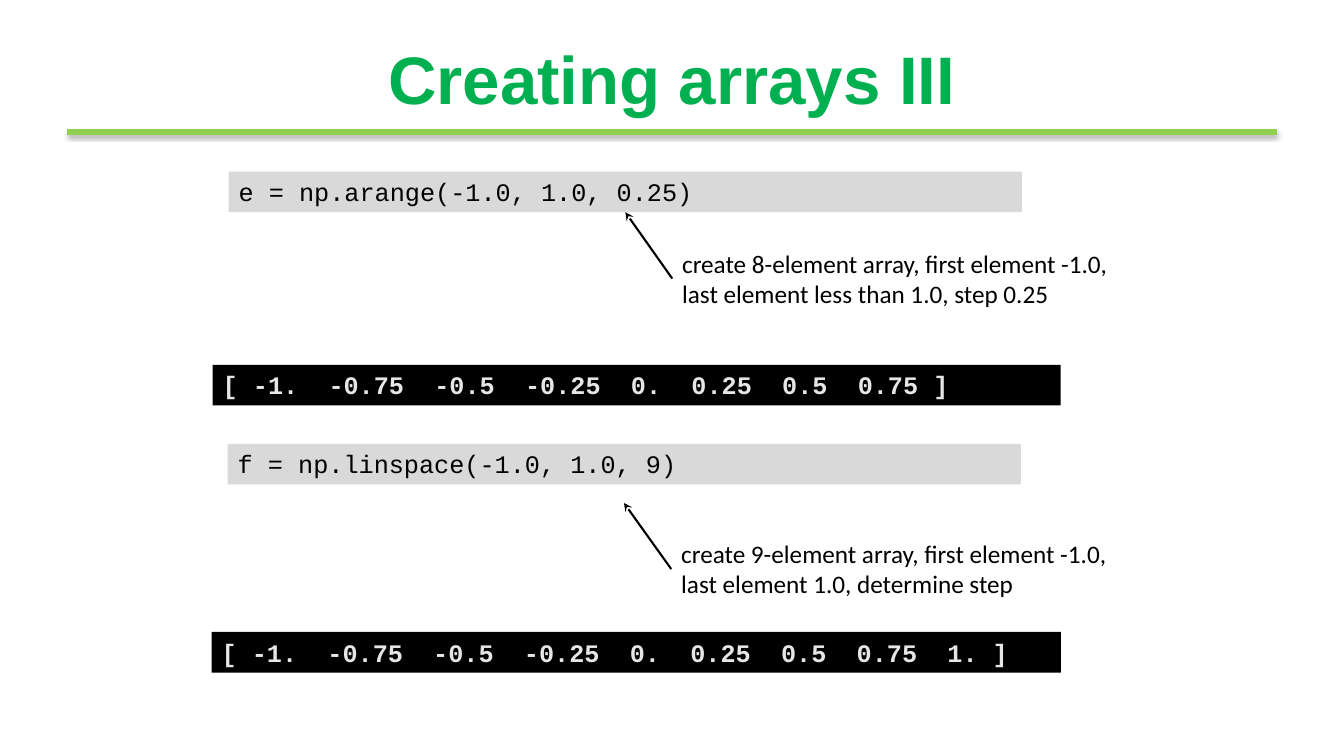
import dataclasses

import lxml.etree
import pptx
import pptx.dml.color
import pptx.enum.shapes
import pptx.enum.text
import pptx.oxml.ns
import pptx.util

Pt = pptx.util.Pt
qn = pptx.oxml.ns.qn
Align = pptx.enum.text.PP_ALIGN
Anchor = pptx.enum.text.MSO_ANCHOR
AutoSize = pptx.enum.text.MSO_AUTO_SIZE


@dataclasses.dataclass(frozen=True)
class Theme:
    title: str = "00B050"
    rule: str = "92D050"
    ink: str = "000000"
    code_fill: str = "D9D9D9"
    output_fill: str = "000000"
    output_ink: str = "E7E6E6"
    title_size: int = 48
    body_size: int = 18
    title_font: str = "Arial"
    body_font: str = "Calibri"
    code_font: str = "Courier New"


THEME = Theme()
TITLE = {"name": THEME.title_font, "size": Pt(THEME.title_size), "bold": True}
NOTE = {"name": THEME.body_font, "size": Pt(THEME.body_size), "bold": False}
CODE = {"name": THEME.code_font, "size": Pt(THEME.body_size), "bold": False}
OUTPUT = {**CODE, "bold": True}


def rgb(color):
    return pptx.dml.color.RGBColor.from_string(color)


def apply(target, values):
    for name, value in values.items():
        setattr(target, name, value)


def write(shape, lines, font, color, align=Align.LEFT, **frame_format):
    frame = shape.text_frame
    apply(frame, frame_format)
    frame.text = "\n".join(lines)
    for paragraph in frame.paragraphs:
        paragraph.alignment = align
        apply(paragraph.font, font)
        paragraph.font.color.rgb = rgb(color)


def add_title(slide, text):
    title = slide.shapes.add_textbox(Pt(48), Pt(24.5), Pt(864), Pt(62))
    write(title, [text], TITLE, THEME.title, Align.CENTER,
          word_wrap=True, vertical_anchor=Anchor.MIDDLE)


def add_bar(slide, left, top, width, text, font, fill, color):
    bar = slide.shapes.add_shape(
        pptx.enum.shapes.MSO_SHAPE.RECTANGLE, Pt(left), Pt(top), Pt(width), Pt(29))
    bar.shadow.inherit = False
    bar.fill.solid()
    bar.fill.fore_color.rgb = rgb(fill)
    bar.line.fill.background()
    write(bar, [text], font, color, word_wrap=True,
          vertical_anchor=Anchor.TOP, auto_size=AutoSize.SHAPE_TO_FIT_TEXT)
    return bar


def add_code(slide, left, top, text):
    return add_bar(slide, left, top, 566.6, text, CODE, THEME.code_fill, THEME.ink)


def add_output(slide, left, top, width, text):
    add_bar(slide, left, top, width, text, OUTPUT, THEME.output_fill, THEME.output_ink)


def add_note(slide, left, top, lines):
    note = slide.shapes.add_textbox(Pt(left), Pt(top), Pt(321.8), Pt(51))
    write(note, lines, NOTE, THEME.ink, word_wrap=False,
          vertical_anchor=Anchor.TOP, auto_size=AutoSize.SHAPE_TO_FIT_TEXT)
    return note


def add_line(slide, start, end, color, width):
    line = slide.shapes.add_connector(
        pptx.enum.shapes.MSO_CONNECTOR.STRAIGHT, *map(Pt, start + end))
    line.line.color.rgb = rgb(color)
    line.line.width = Pt(width)
    effects = lxml.etree.SubElement(line._element.spPr, qn("a:effectLst"))
    return line, effects


def add_title_rule(slide):
    _, effects = add_line(slide, (48, 94.5), (912, 94.5), THEME.rule, 4)
    shadow = lxml.etree.SubElement(
        effects, qn("a:outerShdw"), blurRad=str(Pt(3.1)), dist=str(Pt(1.6)),
        dir="5400000", rotWithShape="0")
    color = lxml.etree.SubElement(shadow, qn("a:srgbClr"), val=THEME.ink)
    lxml.etree.SubElement(color, qn("a:alpha"), val="38000")


def add_arrow(slide, note, tip):
    start = (note.left.pt, note.top.pt + note.height.pt / 2)
    arrow, _ = add_line(slide, start, tip, THEME.ink, 1.5)
    lxml.etree.SubElement(arrow.line._get_or_add_ln(), qn("a:tailEnd"), type="stealth")
    arrow.begin_connect(note, 1)
    return arrow


def main():
    deck = pptx.Presentation()
    apply(deck, {"slide_width": Pt(960), "slide_height": Pt(540)})
    slide = deck.slides.add_slide(deck.slide_layouts[6])

    add_title_rule(slide)
    add_title(slide, "Creating arrays III")

    arange = add_code(slide, 163.4, 122.6, "e = np.arange(-1.0, 1.0, 0.25)")
    arange_note = add_note(slide, 480.2, 173.5, [
        "create 8-element array, first element -1.0,",
        "last element less than 1.0, step 0.25"])
    add_arrow(slide, arange_note, (446.4, 151.9)).end_connect(arange, 2)

    add_code(slide, 162.7, 317, "f = np.linspace(-1.0, 1.0, 9)")
    linspace_note = add_note(slide, 479.5, 381, [
        "create 9-element array, first element -1.0,",
        "last element 1.0, determine step"])
    add_arrow(slide, linspace_note, (445.7, 359.3))

    add_output(slide, 152, 260.6, 605.6,
               "[ -1.  -0.75  -0.5  -0.25  0.  0.25  0.5  0.75 ]")
    add_output(slide, 151.2, 451.4, 606.6,
               "[ -1.  -0.75  -0.5  -0.25  0.  0.25  0.5  0.75  1. ]")

    deck.save("out.pptx")


if __name__ == "__main__":
    main()
